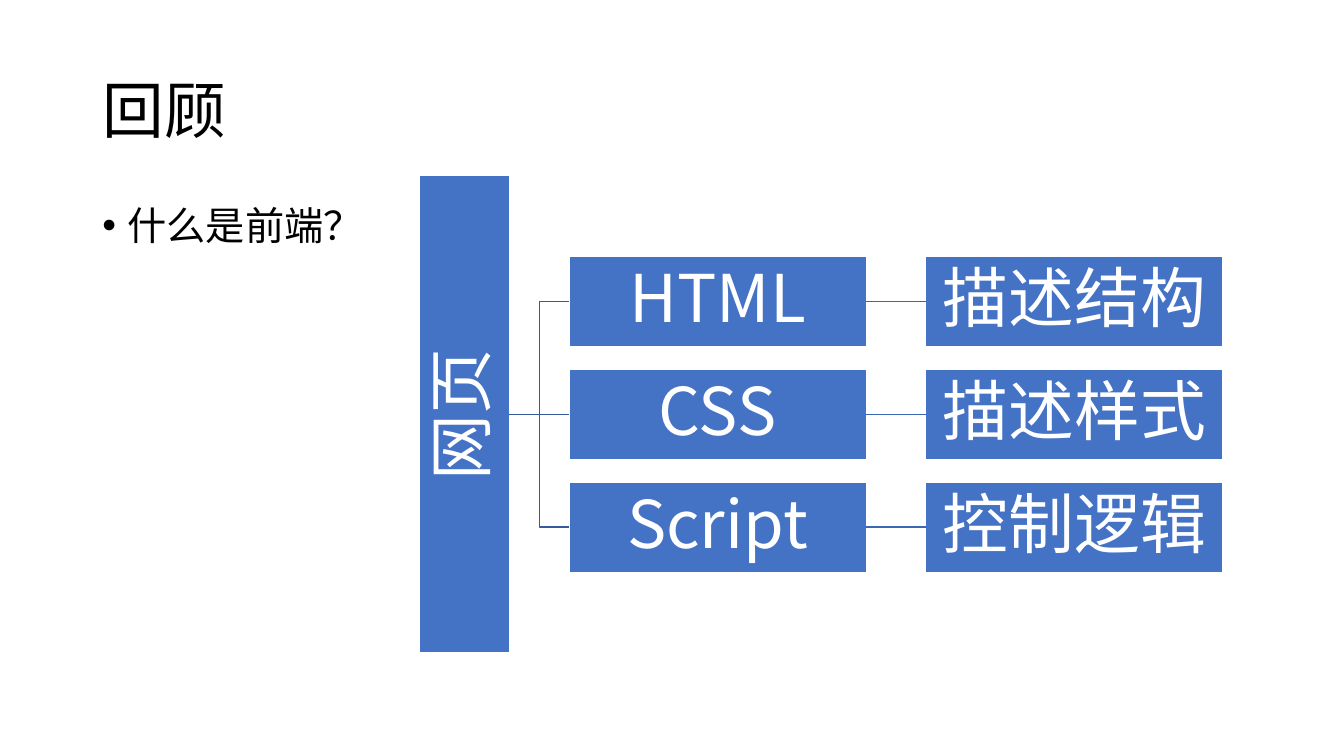
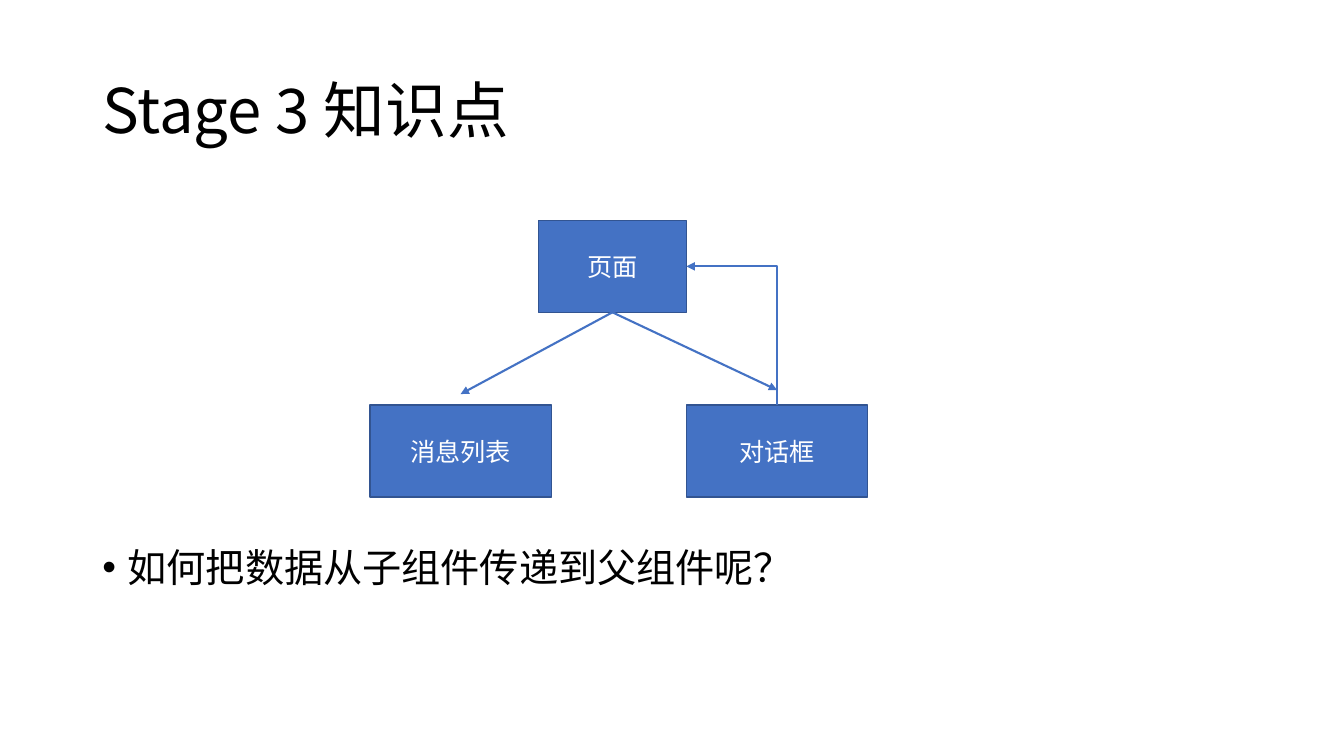
from lxml.etree import SubElement
from pptx import Presentation
from pptx.dml.color import RGBColor
from pptx.enum.shapes import MSO_CONNECTOR as Link, MSO_SHAPE as Kind
from pptx.enum.text import MSO_ANCHOR as Anchor, MSO_AUTO_SIZE as Fit, PP_ALIGN as Align
from pptx.oxml.ns import qn
from pptx.util import Pt

# Content
REVIEW = ("回顾", "什么是前端？")
STAGE = ("Stage 3 知识点", "如何把数据从子组件传递到父组件呢？")
ROOT = "网页"
ROWS = [("HTML", "描述结构"), ("CSS", "描述样式"), ("Script", "控制逻辑")]
PARTS = {  # text: left, top, width
    "页面": (384.6, 157.6, 105.7),
    "消息列表": (264.2, 289.4, 129.6),
    "对话框": (490.3, 289.4, 129.6),
}
TIPS = [(329, 281.5), (555.1, 278.6)]

# Style
FONT = "Noto Sans CJK SC"
BLUE, EDGE, WHITE, BLACK = "4472C4", "325491", "FFFFFF", "000000"
STEM, TWIG = "365B9D", "3E67B2"
HIGH, GAP, PITCH = 64.7, 42.5, 80.65  # tree box height, column gap, row step
WIDE, LEFT, MID = 212.4, 299.2, 295.9  # tree box width, root left, middle row
TALL = 340.6  # root height
PART = 65.5  # part height


def tint(code):
    return RGBColor.from_string(code)


def place(shape, x, y, w, h):
    shape.left, shape.top, shape.width, shape.height = Pt(x), Pt(y), Pt(w), Pt(h)


def write(shape, text, size, color, align, lead=1.0):
    frame = shape.text_frame
    frame.text = text
    frame.word_wrap = True
    frame.auto_size = Fit.NONE
    para = frame.paragraphs[0]
    para.alignment, para.line_spacing = align, lead
    font = para.runs[0].font
    font.size, font.name = Pt(size), FONT
    font.color.rgb = tint(color)
    for prop in shape.element.iter(qn("a:rPr")):
        SubElement(prop, qn("a:ea")).set("typeface", FONT)
    return para


def start(deck, title, point, top):
    """Add a slide with its title and one bullet."""
    slide = deck.slides.add_slide(deck.slide_layouts[1])
    head, body = slide.placeholders
    place(head, 66, 28.75, 828, 104.4)
    write(head, title, 44, BLACK, Align.LEFT, 0.9)
    head.text_frame.vertical_anchor = Anchor.MIDDLE
    place(body, 66, top, 828, 486.7 - top)
    para = write(body, point, 28, BLACK, Align.LEFT, 0.9)
    para.space_before = Pt(10)
    for prop in body.element.iter(qn("a:pPr")):
        prop.set("marL", str(Pt(18)))
        prop.set("indent", str(-Pt(18)))
    return slide.shapes


def block(shapes, text, x, y, w, h, edge, size, lead=1.0, inset=None):
    box = shapes.add_shape(Kind.RECTANGLE, Pt(x), Pt(y), Pt(w), Pt(h))
    box.shadow.inherit = False
    box.fill.solid()
    box.fill.fore_color.rgb = tint(BLUE)
    box.line.color.rgb = tint(edge)
    box.line.width = Pt(1)
    write(box, text, size, WHITE, Align.CENTER, lead)
    frame = box.text_frame
    frame.vertical_anchor = Anchor.MIDDLE
    if inset is not None:
        frame.margin_left = frame.margin_right = Pt(inset)
        frame.margin_top = frame.margin_bottom = Pt(inset)
    return box


def join(shapes, kind, src, side, color, width, dst=None, port=None, tip=(0, 0), arrow=False):
    """Link one side of src to a side of dst, or to a free tip."""
    line = shapes.add_connector(kind, 0, 0, Pt(tip[0]), Pt(tip[1]))
    line.begin_connect(src, side)
    if dst is not None:
        line.end_connect(dst, port)
    line.line.color.rgb = tint(color)
    line.line.width = Pt(width)
    props = line.element.spPr
    if arrow:
        SubElement(props.find(qn("a:ln")), qn("a:tailEnd")).set("type", "triangle")
    SubElement(props, qn("a:effectLst"))
    return line


def tree(shapes):
    def node(text, x, y, w, h):
        return block(shapes, text, x, y, w, h, WHITE, 47, 0.9, 2.1)

    root = node(ROOT, LEFT, MID - TALL / 2, HIGH, TALL)
    root.element.find(".//" + qn("a:bodyPr")).set("vert", "vert270")
    for i, row in enumerate(ROWS):
        y = MID + (i - 1) * PITCH - HIGH / 2
        x = LEFT + HIGH + GAP
        name, role = [node(text, x + k * (WIDE + GAP), y, WIDE, HIGH)
                      for k, text in enumerate(row)]
        kind = Link.STRAIGHT if i == 1 else Link.ELBOW
        join(shapes, kind, root, 3, STEM, 1, name, 1)
        join(shapes, Link.STRAIGHT, name, 3, TWIG, 1, role, 1)


def flow(shapes):
    page, _, chat = [block(shapes, text, x, y, w, PART, EDGE, 18)
                     for text, (x, y, w) in PARTS.items()]
    for tip in TIPS:
        join(shapes, Link.STRAIGHT, page, 2, BLUE, 1.5, tip=tip, arrow=True)

    # One-corner link: up from the dialog, then left to the page
    bend = join(shapes, Link.ELBOW, chat, 0, BLUE, 1.5, page, 3, arrow=True)
    x, y = chat.left + chat.width // 2, page.top + page.height // 2
    wide, high = chat.top - y, x - page.left - page.width
    bend.left = (x - high // 2) - wide // 2
    bend.top = (y + wide // 2) - high // 2
    bend.width, bend.height = wide, high
    props = bend.element.spPr
    props.find(qn("a:prstGeom")).set("prst", "bentConnector2")
    turn = props.find(qn("a:xfrm"))
    for key, value in (("rot", "16200000"), ("flipH", "0"), ("flipV", "1")):
        turn.set(key, value)


def main():
    deck = Presentation()
    deck.slide_width, deck.slide_height = Pt(960), Pt(540)
    tree(start(deck, *REVIEW, 143.75))
    flow(start(deck, *STAGE, 388))
    deck.save("out.pptx")


if __name__ == "__main__":
    main()
